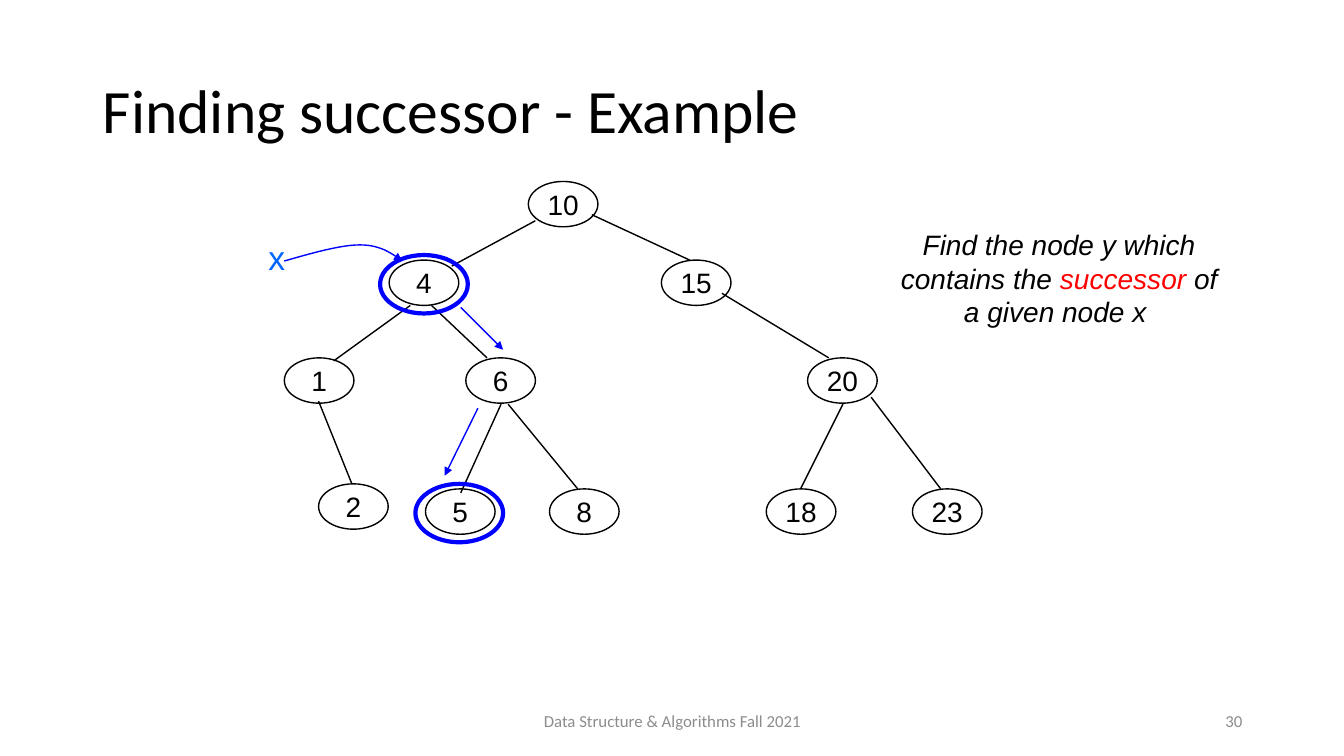
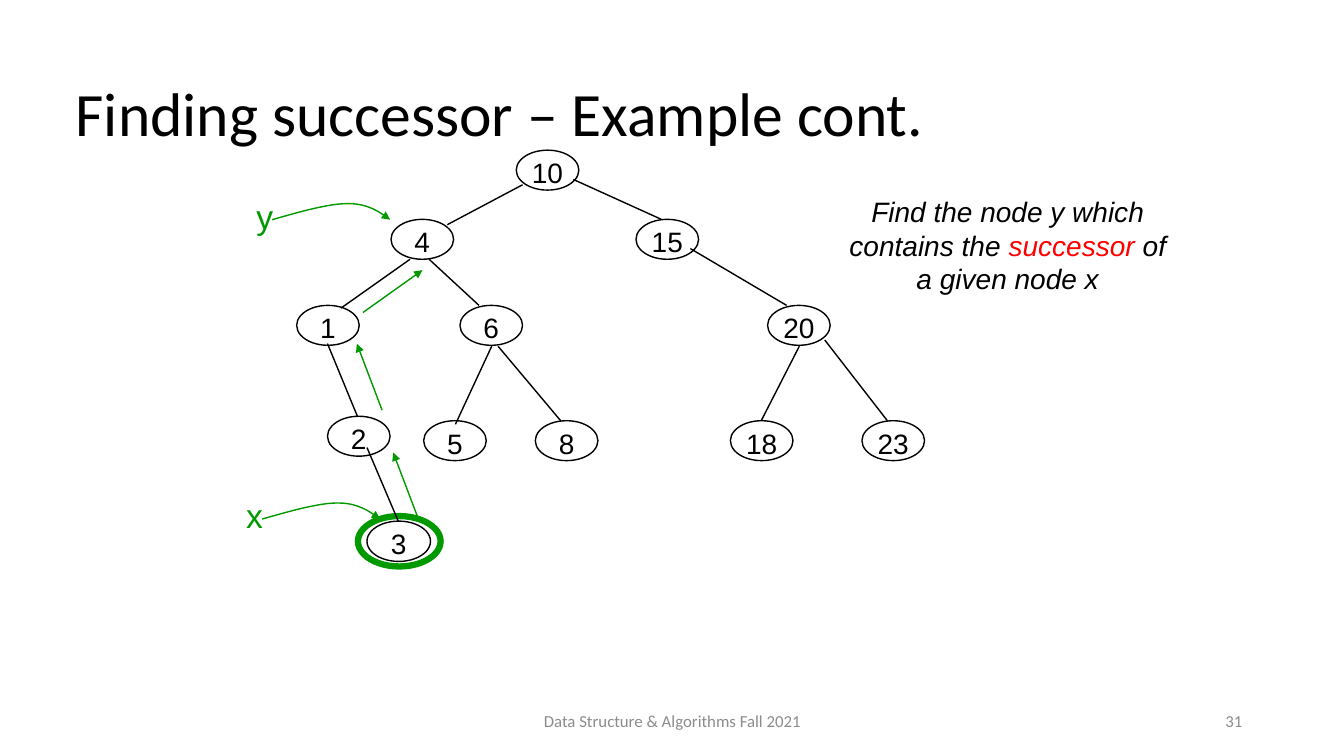
from lxml import etree
from pptx import Presentation
from pptx.dml.color import RGBColor
from pptx.enum import shapes, text
from pptx.oxml import ns
from pptx.util import Inches, Pt

HUES = {"ink": "000000", "gray": "8C8C8C", "red": "FF0000", "blue": "0000FF",
        "sky": "0066FF", "green": "009900"}
NODES = {"10": (0, 0), "15": (1.32, 0.78), "4": (-1.38, 0.78), "6": (-0.62, 1.75),
         "1": (-2.42, 1.75), "8": (0.21, 3.05), "5": (-1.02, 3.05),
         "23": (3.81, 3.05), "18": (2.36, 3.05), "20": (2.77, 1.75), "2": (-2.08, 3)}
LINKS = [(0.07, 0.39, -0.76, 0.84), (-1.17, 1.23, -1.93, 1.78),
         (-0.96, 1.23, -0.41, 1.75), (-0.27, 2.21, -0.67, 3.09),
         (-0.2, 2.21, 0.49, 3.05), (0.63, 0.33, 1.6, 0.78),
         (1.92, 1.11, 2.98, 1.75), (3.12, 2.21, 2.7, 3.05),
         (3.4, 2.14, 4.09, 3.05), (-2.08, 2.18, -1.75, 3)]
BENDS = [[(0, 0.16), (0.28, 0.08), (0.56, 0), (0.75, 0)],
         [(0.75, 0), (0.95, 0), (1.06, 0.08), (1.17, 0.16)]]
STEPS = 12


def bezier(ends, t):
    """Return the point at t on a cubic curve."""
    s = 1 - t
    parts = (s ** 3, 3 * s * s * t, 3 * s * t * t, t ** 3)
    return tuple(sum(k * p[i] for k, p in zip(parts, ends)) for i in (0, 1))


class Deck:
    """Hold the shared style and the current slide."""

    def __init__(self):
        """Start an empty wide deck."""
        self.prs = Presentation()
        self.prs.slide_width, self.prs.slide_height = Inches(13.33), Inches(7.5)

    def start(self, title, left, top, number):
        """Add a slide with its title and footer."""
        self.slide = self.prs.slides.add_slide(self.prs.slide_layouts[5])
        head = self.slide.shapes.title
        self.place(head, left, top, 11.5, 1.45)
        head.text_frame.text = title
        head.text_frame.auto_size = text.MSO_AUTO_SIZE.NONE
        head.text_frame.vertical_anchor = text.MSO_ANCHOR.MIDDLE
        line = head.text_frame.paragraphs[0]
        line.alignment, line.line_spacing = text.PP_ALIGN.LEFT, 0.9
        self.font(line.runs[0], 44, "ink", "Calibri")
        self.foot(number, 9.42, 3, text.PP_ALIGN.RIGHT)
        self.foot("Data Structure & Algorithms Fall 2021", 4.42, 4.5, text.PP_ALIGN.CENTER)

    def place(self, shape, left, top, width, height):
        """Move and size a shape."""
        shape.left, shape.top = Inches(left), Inches(top)
        shape.width, shape.height = Inches(width), Inches(height)

    def font(self, run, size, hue, face="Arial", slant=False):
        """Format one run."""
        run.font.size, run.font.name, run.font.italic = Pt(size), face, slant
        run.font.color.rgb = RGBColor.from_string(HUES[hue])

    def foot(self, words, left, width, align):
        """Add one footer text."""
        box = self.slide.shapes.add_textbox(
            Inches(left), Inches(6.95), Inches(width), Inches(0.4)).text_frame
        box.word_wrap, box.vertical_anchor = True, text.MSO_ANCHOR.MIDDLE
        box.text = words
        box.paragraphs[0].alignment = align
        self.font(box.paragraphs[0].runs[0], 12, "gray", "Calibri")

    def stroke(self, shape, hue, width=1, arrow=False):
        """Set a shape's outline and optional arrowhead."""
        shape.line.color.rgb = RGBColor.from_string(HUES[hue])
        shape.line.width = Pt(width)
        if arrow:
            tip = etree.SubElement(shape.line._get_or_add_ln(), ns.qn("a:tailEnd"))
            tip.set("type", "triangle")

    def oval(self, left, top, width, height, hue="ink", weight=1):
        """Add an unfilled ellipse."""
        oval = self.slide.shapes.add_shape(
            shapes.MSO_SHAPE.OVAL, Inches(left), Inches(top), Inches(width), Inches(height))
        oval.shadow.inherit = False
        oval.fill.background()
        self.stroke(oval, hue, weight)
        return oval

    def node(self, key, left, top, width, height):
        """Add a tree node with its key."""
        box = self.oval(left, top, width, height).text_frame
        box.margin_left = box.margin_right = box.margin_bottom = 0
        box.margin_top = Inches(max(0, 0.44 - height))
        box.word_wrap, box.vertical_anchor = False, text.MSO_ANCHOR.MIDDLE
        box.text = key
        box.paragraphs[0].alignment = text.PP_ALIGN.CENTER
        self.font(box.paragraphs[0].runs[0], 20, "ink")

    def link(self, x1, y1, x2, y2, hue="ink", arrow=False):
        """Add a straight line or arrow."""
        link = self.slide.shapes.add_connector(
            shapes.MSO_CONNECTOR.STRAIGHT, Inches(x1), Inches(y1), Inches(x2), Inches(y2))
        self.stroke(link, hue, arrow=arrow)
        etree.SubElement(link._element.spPr, ns.qn("a:effectLst"))

    def tree(self, left, top, wide=1, high=1):
        """Draw the search tree from its root corner, scaled."""
        for key, (x, y) in NODES.items():
            self.node(key, left + x * wide, top + y * high, 0.69 * wide, 0.45 * high)
        for x1, y1, x2, y2 in LINKS:
            self.link(left + x1 * wide, top + y1 * high, left + x2 * wide, top + y2 * high)

    def words(self, lines, left, top, width, height, size, slant=False):
        """Add centred lines, each a list of (text, hue) parts."""
        box = self.slide.shapes.add_textbox(
            Inches(left), Inches(top), Inches(width), Inches(height)).text_frame
        box.word_wrap, box.auto_size = False, text.MSO_AUTO_SIZE.SHAPE_TO_FIT_TEXT
        for i, parts in enumerate(lines):
            line = box.add_paragraph() if i else box.paragraphs[0]
            line.alignment = text.PP_ALIGN.CENTER
            for part, hue in parts:
                run = line.add_run()
                run.text = part
                self.font(run, size, hue, slant=slant)

    def task(self, left, top, last):
        """Add the task statement."""
        self.words([[("Find the node y which", "ink")],
                    [("contains the", "ink"), (" successor ", "red"), ("of ", "ink")],
                    [(last, "ink")]], left, top, 3.41, 1.1, 20, True)

    def mark(self, name, left, top, hue, tint):
        """Add a named curved pointer."""
        spots = [bezier(bend, i / STEPS) for bend in BENDS for i in range(1, STEPS + 1)]
        spots = [(Inches(left + x), Inches(top + y)) for x, y in spots]
        path = self.slide.shapes.build_freeform(Inches(left), Inches(top + 0.16))
        path.add_line_segments(spots, close=False)
        curve = path.convert_to_shape()
        curve.shadow.inherit = False
        curve.fill.background()
        self.stroke(curve, hue, arrow=True)
        self.words([[(name, tint)]], left - 0.26, top - 0.13, 0.37, 0.5, 24)


deck = Deck()
deck.start("Finding successor - Example", 0.92, 0.4, "30")
deck.tree(5.24, 1.8)
deck.task(8.8, 2.21, "a given node x ")
for left, top in [(3.77, 2.53), (4.12, 4.8)]:
    deck.oval(left, top, 0.87, 0.58, "blue", 3)
for ends in [(4.57, 3.05, 4.99, 3.47), (4.74, 4.05, 4.41, 4.72)]:
    deck.link(*ends, "blue", True)
deck.mark("x", 2.82, 2.43, "blue", "sky")

deck.start("Finding successor – Example cont.", 0.65, 0.43, "31")
deck.tree(5.12, 1.49, 0.9, 0.88)
deck.task(8.29, 1.88, "a given node x")
deck.oval(3.55, 5.12, 0.82, 0.5, "green", 4.5)
deck.node("3", 3.64, 5.17, 0.63, 0.4)
deck.link(3.64, 4.44, 3.95, 5.17)
for ends in [(3.79, 4.07, 3.54, 3.41), (3.6, 3.1, 4.19, 2.68), (4.15, 5.15, 3.9, 4.49)]:
    deck.link(*ends, "green", True)
deck.mark("x", 2.6, 4.99, "green", "green")
deck.mark("y", 2.7, 2.02, "green", "green")

deck.prs.save("out.pptx")
